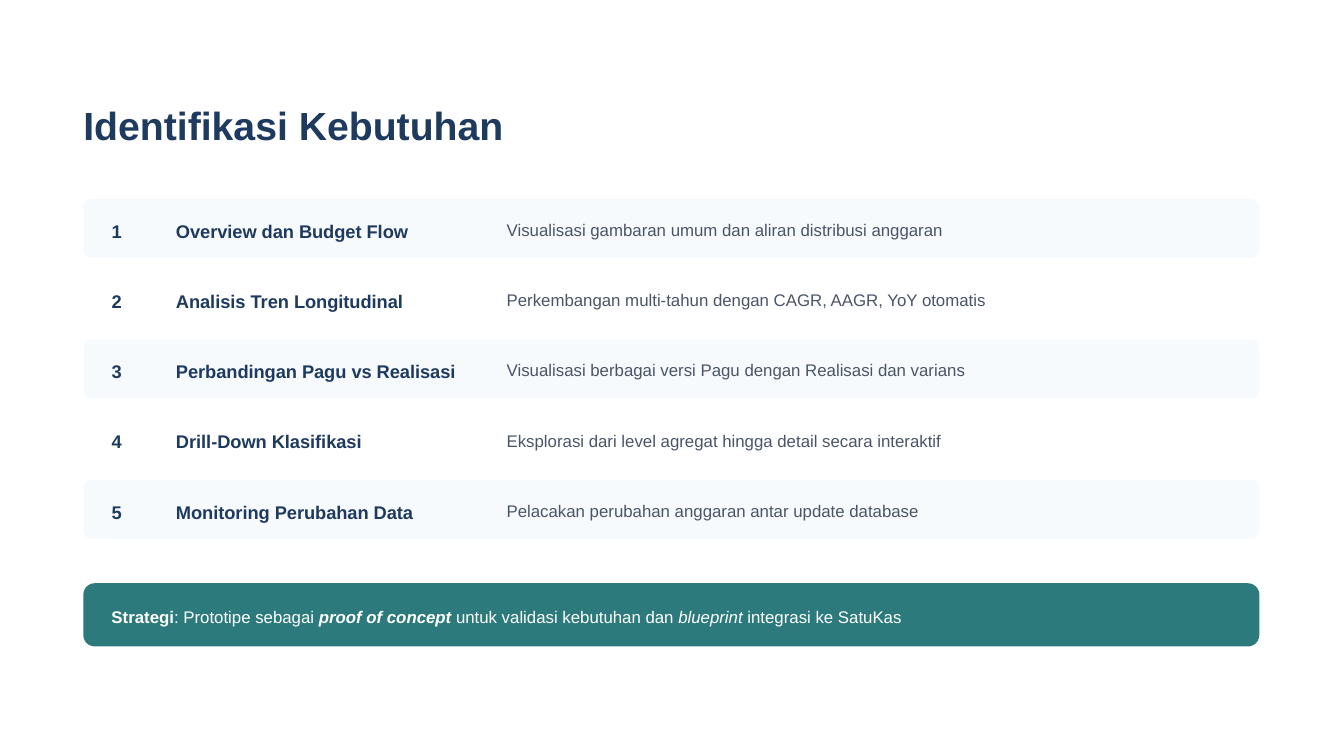
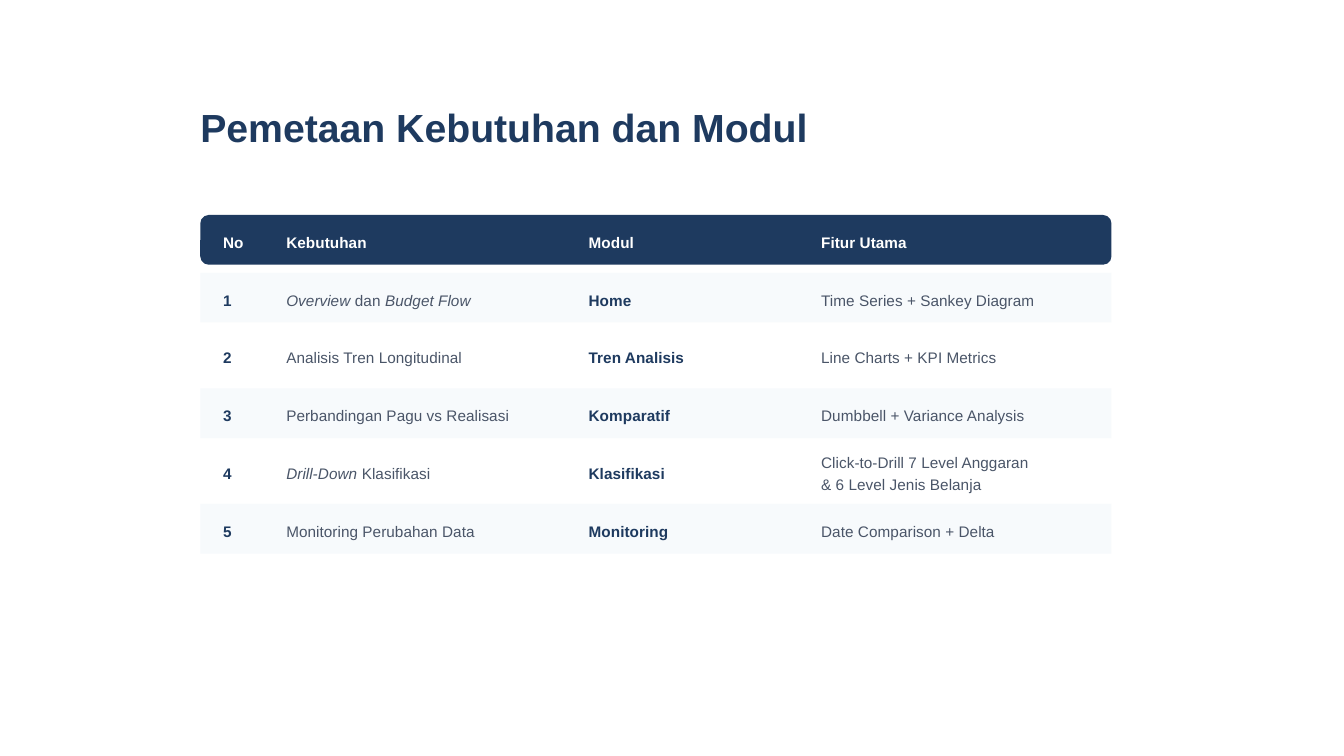
"""Build two slides on the needs of a budget dashboard and their modules."""
from pptx import Presentation
from pptx.dml.color import RGBColor
from pptx.enum.shapes import MSO_SHAPE as SHAPE
from pptx.enum.text import MSO_ANCHOR as ANCHOR, MSO_AUTO_SIZE as AUTO, PP_ALIGN as ALIGN
from pptx.util import Inches, Pt

NAVY = RGBColor(0x1E, 0x3A, 0x5F)
TEAL = RGBColor(0x2C, 0x7A, 0x7B)
SLATE = RGBColor(0x4A, 0x55, 0x68)
PALE = RGBColor(0xF7, 0xFA, 0xFC)
WHITE = RGBColor(0xFF, 0xFF, 0xFF)
FONT = "Arial"

NEEDS = [
    ("Overview dan Budget Flow", "Visualisasi gambaran umum dan aliran distribusi anggaran", 3.31),
    ("Analisis Tren Longitudinal", "Perkembangan multi-tahun dengan CAGR, AAGR, YoY otomatis", 3.63),
    ("Perbandingan Pagu vs Realisasi",
     "Visualisasi berbagai versi Pagu dengan Realisasi dan varians", 3.48),
    ("Drill-Down Klasifikasi",
     "Eksplorasi dari level agregat hingga detail secara interaktif", 3.3),
    ("Monitoring Perubahan Data", "Pelacakan perubahan anggaran antar update database", 3.13),
]
STRATEGY = [("Strategi", "b"), (": Prototipe sebagai ", ""), ("proof of concept ", "bi"),
            ("untuk validasi kebutuhan dan ", ""), ("blueprint", "i"),
            (" integrasi ke SatuKas", "")]
HEADER = ("No", "Kebutuhan", "Modul", "Fitur Utama")
MODULES = [
    ([("Overview", "i"), (" dan ", ""), ("Budget Flow", "i")], "Home",
     "Time Series + Sankey Diagram"),
    ("Analisis Tren Longitudinal", "Tren Analisis", "Line Charts + KPI Metrics"),
    ("Perbandingan Pagu vs Realisasi", "Komparatif", "Dumbbell + Variance Analysis"),
    ([("Drill-Down", "i"), (" Klasifikasi", "")], "Klasifikasi",
     "Click-to-Drill 7 Level Anggaran\n& 6 Level Jenis Belanja"),
    ("Monitoring Perubahan Data", "Monitoring", "Date Comparison + Delta"),
]
COLUMNS = [(1.66, 0.32), (2.13, 2.12), (4.38, 1.59), (6.11, 3.02)]


def write(tf, text, size=9, color=SLATE, bold=False, leading=1.4, after=0):
    """Fill a frame with plain lines, or with one line of (text, flags) runs."""
    tf.margin_left = tf.margin_top = tf.margin_right = tf.margin_bottom = 0
    tf.word_wrap = True
    tf.auto_size = AUTO.NONE
    tf.vertical_anchor = ANCHOR.TOP
    plain = "b" if bold else ""
    lines = [[(t, plain)] for t in text.split("\n")] if isinstance(text, str) else [text]
    for i, runs in enumerate(lines):
        p = tf.add_paragraph() if i else tf.paragraphs[0]
        p.alignment = ALIGN.LEFT
        p.line_spacing = Pt(size * leading)
        p.space_before = Pt(0)
        p.space_after = Pt(after)
        for words, flags in runs:
            r = p.add_run()
            r.text = words
            r.font.name = FONT
            r.font.size = Pt(size)
            r.font.color.rgb = color
            r.font.bold = "b" in flags
            r.font.italic = "i" in flags


class Deck:
    """Hold the presentation and the slide being filled."""

    def __init__(self):
        self.prs = Presentation()
        self.prs.slide_width = Inches(10)
        self.prs.slide_height = Inches(10 * 9 / 16)
        self.s = None

    def slide(self, title, x, y, w):
        """Start a slide and set its title."""
        self.s = self.prs.slides.add_slide(self.prs.slide_layouts[5])
        sp = self.s.shapes.title
        sp.left, sp.top, sp.width, sp.height = (Inches(v) for v in (x, y, w, 0.29))
        write(sp.text_frame, title, size=21, color=NAVY, bold=True, leading=1, after=15)

    def band(self, x, y, w, h, fill, radius=0):
        """Add a flat band, rounded when a radius ratio is given."""
        kind = SHAPE.ROUNDED_RECTANGLE if radius else SHAPE.RECTANGLE
        sp = self.s.shapes.add_shape(kind, Inches(x), Inches(y), Inches(w), Inches(h))
        if radius:
            sp.adjustments[0] = radius
        sp.fill.solid()
        sp.fill.fore_color.rgb = fill
        sp.line.fill.background()
        sp.shadow.inherit = False

    def text(self, text, x, y, w, h=0.17, **style):
        """Add a text box."""
        sp = self.s.shapes.add_textbox(Inches(x), Inches(y), Inches(w), Inches(h))
        write(sp.text_frame, text, **style)


def add_needs(deck):
    """Build the list of needs and the strategy band."""
    left, width, top, bottom = 0.62, 8.75, 1.48, 3.57
    pitch = (bottom - top) / (len(NEEDS) - 1)
    deck.slide("Identifikasi Kebutuhan", left, 0.81, 4.47)
    label = dict(h=0.19, size=9.75, color=NAVY, bold=True)
    for i, (need, detail, detail_width) in enumerate(NEEDS):
        y = top + i * pitch
        if i % 2 == 0:
            deck.band(left, y, width, 0.44, PALE, radius=0.14)
        deck.text(str(i + 1), 0.83, y + 0.13, 0.32, **label)
        deck.text(need, 1.31, y + 0.13, 2.34, **label)
        deck.text(detail, 3.77, y + 0.13, detail_width)
    deck.band(left, 4.34, width, 0.47, TEAL, radius=0.18)
    deck.text(STRATEGY, 0.83, 4.49, 8.5, color=WHITE)


def add_modules(deck):
    """Build the grid that maps needs to modules."""
    left, width, height, top, pitch = 1.49, 6.78, 0.37, 1.6, 0.43
    deck.slide("Pemetaan Kebutuhan dan Modul", left, 0.83, 4.62)
    deck.band(left, top, width, height, NAVY, radius=0.17)
    rows = [HEADER] + [(str(n), *row) for n, row in enumerate(MODULES, 1)]
    for i, row in enumerate(rows):
        y = top + i * pitch
        if i % 2:
            deck.band(left, y, width, height, PALE)
        for j, (cell, (x, w)) in enumerate(zip(row, COLUMNS)):
            strong = i == 0 or j in (0, 2)
            color = WHITE if i == 0 else NAVY if strong else SLATE
            lift = 0.08 if "\n" in cell else 0
            deck.text(cell, x, y + 0.11 - lift, w, h=0.16, size=8.25, color=color, bold=strong)


def main():
    """Build and save the deck."""
    deck = Deck()
    add_needs(deck)
    add_modules(deck)
    deck.prs.save("out.pptx")


if __name__ == "__main__":
    main()
